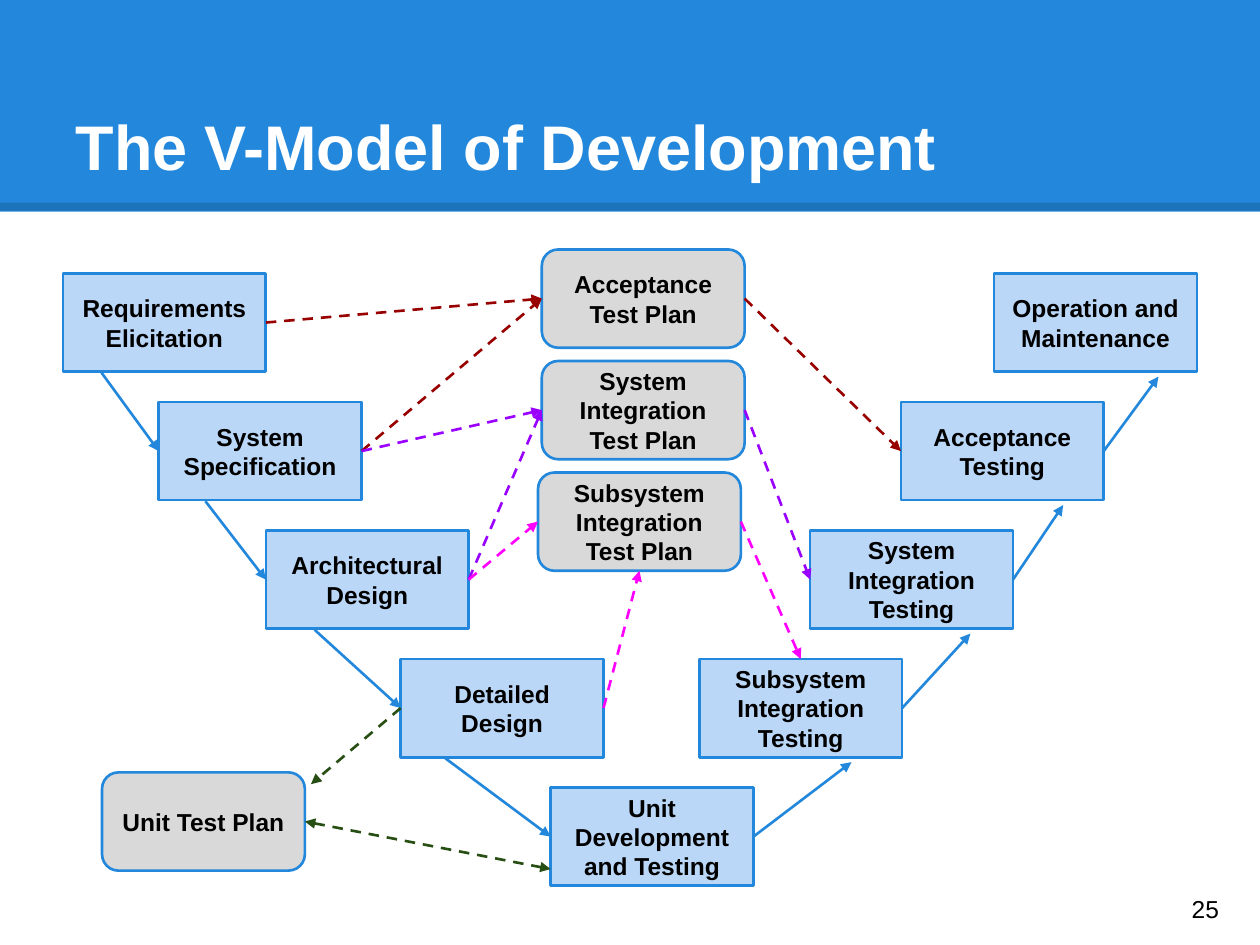
from dataclasses import dataclass

from lxml import etree
from pptx import Presentation
from pptx import util as u
from pptx.dml.color import RGBColor
from pptx.enum import dml, shapes, text
from pptx.oxml.ns import qn


@dataclass(frozen=True)
class Theme:
    font: str = "Arial"
    title_size: int = 36
    body_size: int = 14
    line_width: float = 1.5
    edge_width: float = 4.5
    edge_opacity: int = 15
    blue: str = "2388DB"
    activity: str = "BBD7F8"
    plan: str = "D9D9D9"
    white: str = "FFFFFF"
    black: str = "000000"
    acceptance: str = "980000"
    system: str = "9900FF"
    subsystem: str = "FF00FF"
    unit: str = "274E13"


THEME = Theme()
WIDTH, HEIGHT = 10, 7.5
BOX_W, BOX_H = 1.61, 0.78
FIRST_ROW, ROW_PITCH = 2.17, 1.02
FIRST_PLAN, PLAN_PITCH = 1.98, 0.885
LEFT, RIGHT, TOP, BOTTOM = (0, 0.5), (1, 0.5), (0.5, 0), (0.5, 1)
SITES = {TOP: 0, LEFT: 1, BOTTOM: 2, RIGHT: 3}

DESCENT = [
    ("Requirements Elicitation", 0.5, 0.19),
    ("System Specification", 1.26, 0.23),
    ("Architectural Design", 2.11, 0.24),
    ("Detailed Design", 3.18, 0.22),
]
TURN = ("Unit Development and Testing", 4.37)
ASCENT = [
    ("Subsystem Integration Testing", 5.55, 0.75),
    ("System Integration Testing", 6.43, 0.79),
    ("Acceptance Testing", 7.15, 0.8),
    ("Operation and Maintenance", 7.89, 0.81),
]
PLANS = [
    ("Acceptance Test Plan", 4.3),
    ("System Integration Test Plan", 4.3),
    ("Subsystem Integration Test Plan", 4.27),
]
UNIT_PLAN = ("Unit Test Plan", 0.81, 6.13)
TRACES = [
    ("Requirements Elicitation", RIGHT, "Acceptance Test Plan", LEFT, THEME.acceptance),
    ("System Specification", RIGHT, "Acceptance Test Plan", LEFT, THEME.acceptance),
    ("System Specification", RIGHT, "System Integration Test Plan", LEFT, THEME.system),
    ("Architectural Design", RIGHT, "System Integration Test Plan", LEFT, THEME.system),
    ("Architectural Design", RIGHT, "Subsystem Integration Test Plan", LEFT, THEME.subsystem),
    ("Detailed Design", RIGHT, "Subsystem Integration Test Plan", BOTTOM, THEME.subsystem),
    ("Acceptance Test Plan", RIGHT, "Acceptance Testing", LEFT, THEME.acceptance),
    ("System Integration Test Plan", RIGHT, "System Integration Testing", LEFT, THEME.system),
    ("Subsystem Integration Test Plan", RIGHT, "Subsystem Integration Testing", TOP, THEME.subsystem),
    ("Detailed Design", LEFT, "Unit Test Plan", (1.03, 0.12), THEME.unit),
]


def rgb(value):
    return RGBColor.from_string(value)


def inches(*lengths):
    return [u.Inches(length) for length in lengths]


def write(shape, words, size, color, bold, align, anchor):
    frame = shape.text_frame
    frame.text = words
    frame_format = {
        "word_wrap": True,
        "auto_size": text.MSO_AUTO_SIZE.NONE,
        "vertical_anchor": anchor,
        **dict.fromkeys(
            ("margin_left", "margin_right", "margin_top", "margin_bottom"), u.Inches(0.1)
        ),
    }
    for name, value in frame_format.items():
        setattr(frame, name, value)
    paragraph = frame.paragraphs[0]
    paragraph.alignment = align
    font_format = {"name": THEME.font, "size": u.Pt(size), "bold": bold}
    for name, value in font_format.items():
        setattr(paragraph.font, name, value)
    paragraph.font.color.rgb = rgb(color)


def add_panel(slide, kind, bounds, fill):
    panel = slide.shapes.add_shape(kind, *inches(*bounds))
    panel.shadow.inherit = False
    panel.fill.solid()
    panel.fill.fore_color.rgb = rgb(fill)
    return panel


def add_box(slide, words, left, top, kind, fill):
    box = add_panel(slide, kind, (left, top, BOX_W, BOX_H), fill)
    box.line.color.rgb = rgb(THEME.blue)
    box.line.width = u.Pt(THEME.line_width)
    write(box, words, THEME.body_size, THEME.black, True,
          text.PP_ALIGN.CENTER, text.MSO_ANCHOR.MIDDLE)
    return box


def add_line(slide, start, end, color, width):
    line = slide.shapes.add_connector(shapes.MSO_CONNECTOR.STRAIGHT, *start, *end)
    line.line.color.rgb = rgb(color)
    line.line.width = u.Pt(width)
    etree.SubElement(line.element.spPr, qn("a:effectLst"))
    return line


def spot(box, share):
    return round(box.left + box.width * share[0]), round(box.top + box.height * share[1])


def add_arrow(slide, source, exit_share, target, entry_share, color,
              dashed=False, two_way=False):
    arrow = add_line(slide, spot(source, exit_share), spot(target, entry_share),
                     color, THEME.line_width)
    if exit_share in SITES:
        arrow.begin_connect(source, SITES[exit_share])
    if entry_share in SITES:
        arrow.end_connect(target, SITES[entry_share])
    if dashed:
        arrow.line.dash_style = dml.MSO_LINE.DASH
    outline = arrow.element.spPr.find(qn("a:ln"))
    for end in ("a:headEnd", "a:tailEnd") if two_way else ("a:tailEnd",):
        etree.SubElement(outline, qn(end), type="triangle", w="med", len="med")


def add_header(slide, words):
    title = slide.shapes.title
    band = add_panel(slide, shapes.MSO_SHAPE.RECTANGLE, (0, 0, WIDTH, 1.68), THEME.blue)
    band.line.fill.background()
    edge = add_line(slide, inches(0, 1.64), inches(WIDTH, 1.64), THEME.black, THEME.edge_width)
    tint = edge.element.spPr.find(".//" + qn("a:srgbClr"))
    etree.SubElement(tint, qn("a:alpha"), val=str(THEME.edge_opacity * 1000))
    for backdrop in (band, edge):
        title.element.addprevious(backdrop.element)
    title.left, title.top, title.width, title.height = inches(0.5, 0.3, 0.9 * WIDTH, 1.25)
    write(title, words, THEME.title_size, THEME.white, True,
          text.PP_ALIGN.LEFT, text.MSO_ANCHOR.BOTTOM)


def add_boxes(slide):
    boxes = {}
    activities = [*DESCENT, TURN, *ASCENT]
    for step, (words, left, *_) in enumerate(activities):
        row = len(DESCENT) - abs(step - len(DESCENT))
        boxes[words] = add_box(slide, words, left, FIRST_ROW + row * ROW_PITCH,
                               shapes.MSO_SHAPE.RECTANGLE, THEME.activity)
    plans = [(words, left, FIRST_PLAN + row * PLAN_PITCH)
             for row, (words, left) in enumerate(PLANS)]
    for words, left, top in [*plans, UNIT_PLAN]:
        boxes[words] = add_box(slide, words, left, top,
                               shapes.MSO_SHAPE.ROUNDED_RECTANGLE, THEME.plan)
    return boxes


def add_flow(slide, boxes):
    followers = [*DESCENT[1:], TURN]
    for (source, _, exit_x), (target, *_) in zip(DESCENT, followers):
        add_arrow(slide, boxes[source], (exit_x, 1.01), boxes[target], LEFT, THEME.blue)
    for (source, *_), (target, _, entry_x) in zip([TURN, *ASCENT], ASCENT):
        add_arrow(slide, boxes[source], RIGHT, boxes[target], (entry_x, 1.05), THEME.blue)


def add_traces(slide, boxes):
    for source, exit_share, target, entry_share, color in TRACES:
        add_arrow(slide, boxes[source], exit_share, boxes[target], entry_share, color, dashed=True)
    add_arrow(slide, boxes[UNIT_PLAN[0]], RIGHT, boxes[TURN[0]], (0, 0.83),
              THEME.unit, dashed=True, two_way=True)


def add_page_number(slide, number):
    page = slide.shapes.add_textbox(*inches(9.36, 6.93, 0.6, 0.57))
    write(page, number, THEME.body_size, THEME.black, False,
          text.PP_ALIGN.LEFT, text.MSO_ANCHOR.MIDDLE)


def main():
    deck = Presentation()
    deck.slide_width, deck.slide_height = inches(WIDTH, HEIGHT)
    slide = deck.slides.add_slide(deck.slide_layouts.get_by_name("Title Only"))
    add_header(slide, "The V-Model of Development")
    boxes = add_boxes(slide)
    add_flow(slide, boxes)
    add_traces(slide, boxes)
    add_page_number(slide, "25")
    deck.save("out.pptx")


if __name__ == "__main__":
    main()
